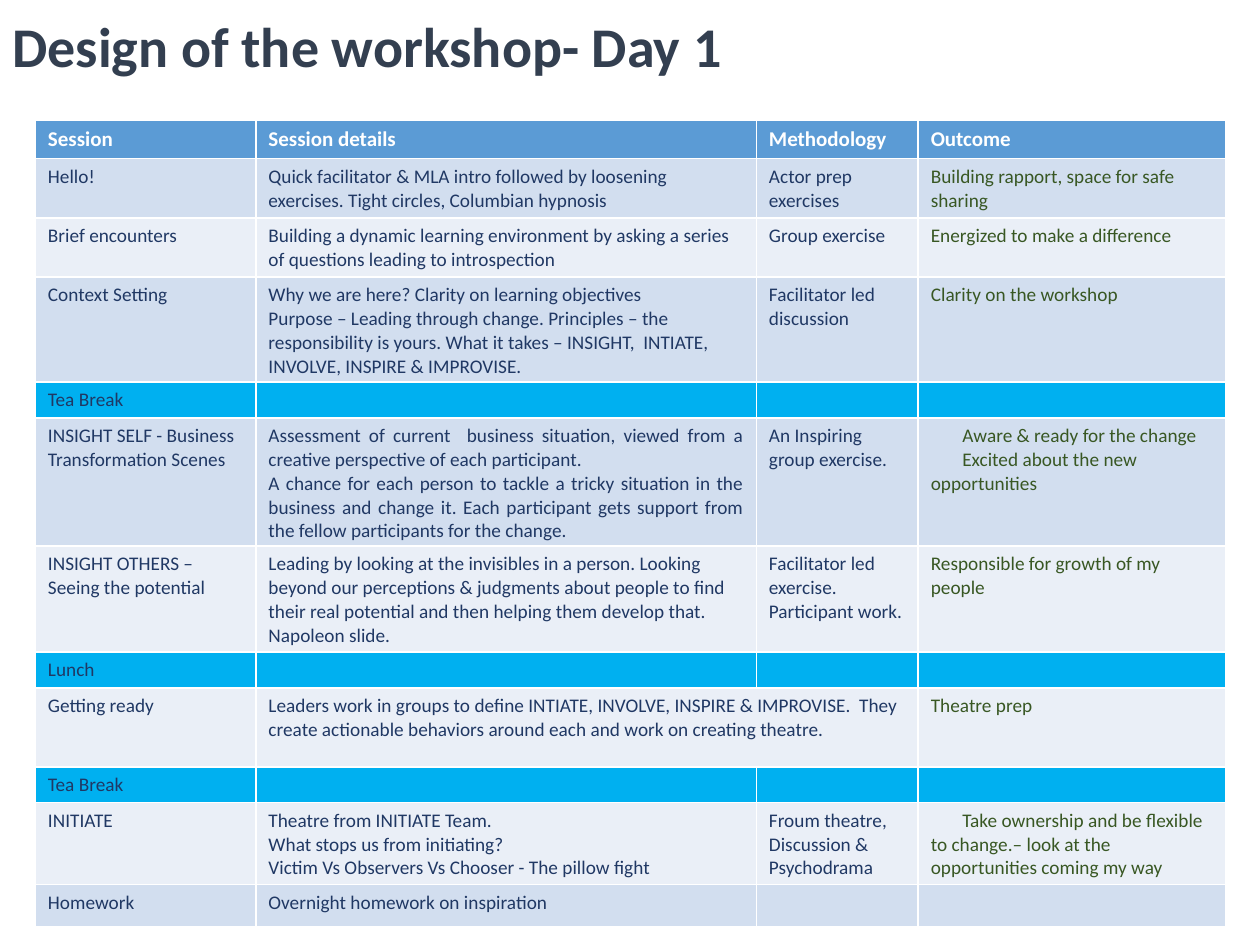
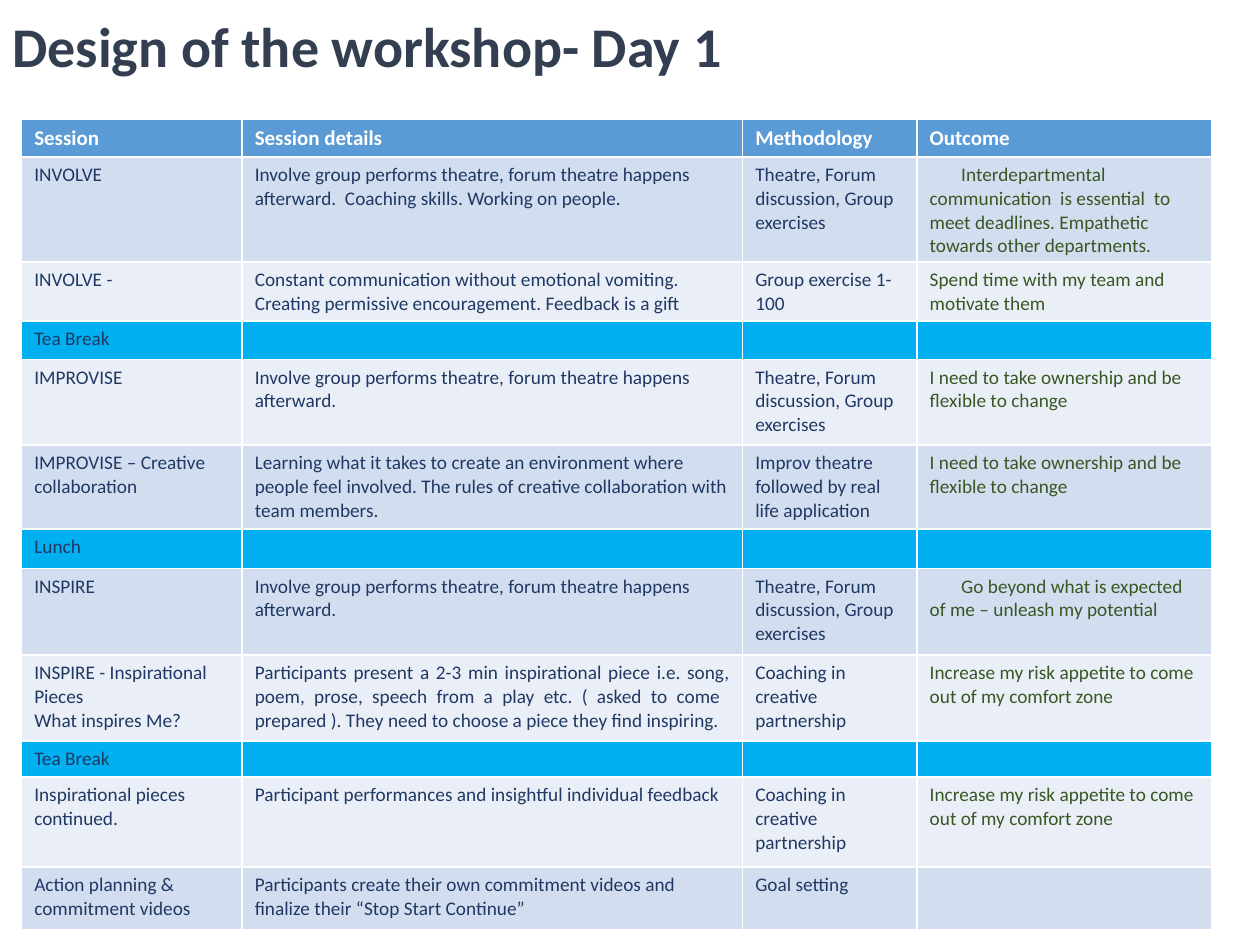
from dataclasses import dataclass

from lxml.etree import SubElement
from pptx import Presentation
from pptx.dml.color import RGBColor
from pptx.enum.text import MSO_ANCHOR, PP_ALIGN
from pptx.oxml.ns import qn
from pptx.util import Pt

FONT = "Calibri"
TITLE_COLOR = "333F50"
HEADER_FILL = "5B9BD5"
HEADER_TEXT = "FFFFFF"
BREAK_FILL = "00B0F0"
BAND_FILLS = ("EAEFF7", "D2DEEF")
BODY_TEXT = "203864"
OUTCOME_TEXT = "385723"
HEADINGS = ("Session", "Session details", "Methodology", "Outcome")
HEADER_HEIGHT = 20.9
OUTCOME_COLUMN = 3


@dataclass
class Session:
    """One row of the agenda; a row without details is a break."""
    height: float
    name: str
    details: str = ""
    methodology: str = ""
    outcome: str = ""
    justified: bool = False
    indented: bool = False
    wide_details: bool = False


GROUP_THEATRE = "Theatre, Forum discussion, Group exercises"
PERFORMANCE = "Involve group performs theatre, forum theatre happens afterward."
OWNERSHIP = "I need to take ownership and be flexible to change"
COACHING = "Coaching in creative partnership"
RISK_APPETITE = "Increase my risk appetite to come out of my comfort zone"

FIRST_AGENDA = [
    Session(34, "Hello!",
            "Quick facilitator & MLA intro followed by loosening exercises. "
            "Tight circles, Columbian hypnosis",
            "Actor prep exercises",
            "Building rapport, space for safe sharing"),
    Session(33.4, "Brief encounters",
            "Building a dynamic learning environment by asking a series of "
            "questions leading to introspection",
            "Group exercise", "Energized to make a difference"),
    Session(60, "Context Setting",
            "Why we are here? Clarity on learning objectives\n"
            "Purpose – Leading through change. Principles – the responsibility "
            "is yours. What it takes – INSIGHT,  INTIATE, INVOLVE, INSPIRE & "
            "IMPROVISE.",
            "Facilitator led discussion", "Clarity on the workshop"),
    Session(20.5, "Tea Break"),
    Session(73, "INSIGHT SELF - Business Transformation Scenes",
            "Assessment of current  business situation, viewed from a creative "
            "perspective of each participant.\n"
            "A chance for each person to tackle a tricky situation in the "
            "business and change it. Each participant gets support from the "
            "fellow participants for the change.",
            "An Inspiring group exercise.",
            "Aware & ready for the change\nExcited about the new opportunities",
            justified=True, indented=True),
    Session(60.5, "INSIGHT OTHERS – Seeing the potential",
            "Leading by looking at the invisibles in a person. Looking beyond "
            "our perceptions & judgments about people to find their real "
            "potential and then helping them develop that. Napoleon slide.",
            "Facilitator led exercise. Participant work.",
            "Responsible for growth of my people"),
    Session(20, "Lunch"),
    Session(45.2, "Getting ready",
            "Leaders work in groups to define INTIATE, INVOLVE, INSPIRE & "
            "IMPROVISE.  They create actionable behaviors around each and work "
            "on creating theatre.",
            outcome="Theatre prep", wide_details=True),
    Session(20, "Tea Break"),
    Session(46.6, "INITIATE",
            "Theatre from INITIATE Team.\nWhat stops us from initiating?\n"
            "Victim Vs Observers Vs Chooser - The pillow fight",
            "Froum theatre, Discussion & Psychodrama",
            "Take ownership and be flexible to change.– look at the "
            "opportunities coming my way",
            indented=True),
    Session(24, "Homework", "Overnight homework on inspiration"),
]

SECOND_AGENDA = [
    Session(60, "INVOLVE",
            PERFORMANCE + "  Coaching skills. Working on people.",
            GROUP_THEATRE,
            "Interdepartmental communication  is essential  to meet deadlines. "
            "Empathetic towards other departments.",
            indented=True),
    Session(33.4, "INVOLVE -",
            "Constant communication without emotional vomiting. Creating "
            "permissive encouragement. Feedback is a gift",
            "Group exercise 1-100", "Spend time with my team and motivate them"),
    Session(22, "Tea Break"),
    Session(49, "IMPROVISE", PERFORMANCE, GROUP_THEATRE, OWNERSHIP),
    Session(48, "IMPROVISE – Creative collaboration",
            "Learning what it takes to create an environment where people feel "
            "involved. The rules of creative collaboration with team members.",
            "Improv theatre followed by real life application", OWNERSHIP),
    Session(22.5, "Lunch"),
    Session(49.5, "INSPIRE", PERFORMANCE, GROUP_THEATRE,
            "Go beyond what is expected of me – unleash my potential",
            indented=True),
    Session(49.2, "INSPIRE - Inspirational Pieces\nWhat inspires Me?",
            "Participants present a 2-3 min inspirational piece i.e. song, poem, "
            "prose, speech from a play etc. ( asked to come  prepared ). They "
            "need to choose a piece they find inspiring.",
            COACHING, RISK_APPETITE, justified=True),
    Session(20.5, "Tea Break"),
    Session(51.5, "Inspirational pieces continued.",
            "Participant performances and insightful individual feedback",
            COACHING, RISK_APPETITE),
    Session(36, "Action planning & commitment videos",
            "Participants create their own commitment videos and finalize their "
            "“Stop Start Continue”",
            "Goal setting"),
]


def rgb(value):
    """Turn a hex string into a colour."""
    return RGBColor.from_string(value)


def style_paragraph(paragraph, size, color, bold=False):
    """Set the font of a whole paragraph."""
    font = paragraph.font
    font.name, font.size, font.bold = FONT, Pt(size), bold
    font.color.rgb = rgb(color)


def fill_cell(cell, text, fill, color, size=11, bold=False, justified=False, indented=False):
    """Write one table cell, a paragraph for each line of text."""
    cell.fill.solid()
    cell.fill.fore_color.rgb = rgb(fill)
    cell.text = text
    for paragraph in cell.text_frame.paragraphs:
        if justified:
            paragraph.alignment = PP_ALIGN.JUSTIFY
        if indented:
            paragraph._p.get_or_add_pPr().set("indent", str(Pt(18)))
        style_paragraph(paragraph, size, color, bold)
        if not text:
            SubElement(paragraph._p, qn("a:endParaRPr"), sz=str(size * 100))


def add_title(page, text, left, top, width, height):
    """Place the slide title in the given box."""
    box = page.shapes.add_textbox(Pt(left), Pt(top), Pt(width), Pt(height))
    frame = box.text_frame
    frame.word_wrap = True
    frame.vertical_anchor = MSO_ANCHOR.MIDDLE
    paragraph = frame.paragraphs[0]
    paragraph.text = text
    paragraph.line_spacing = 0.9
    style_paragraph(paragraph, 32, TITLE_COLOR, bold=True)


def fill_session(table, row, session):
    """Fill one agenda row, either a session or a break."""
    fill = BAND_FILLS[row % 2] if session.details else BREAK_FILL
    if session.wide_details:
        table.cell(row, 1).merge(table.cell(row, 2))
    texts = (session.name, session.details, session.methodology, session.outcome)
    for column, text in enumerate(texts):
        is_outcome = column == OUTCOME_COLUMN
        fill_cell(table.cell(row, column), text, fill,
                  OUTCOME_TEXT if is_outcome else BODY_TEXT,
                  justified=session.justified and column == 1,
                  indented=session.indented and is_outcome)


def add_agenda(page, sessions, left, top, widths):
    """Place the agenda table with its top left corner at the given point."""
    heights = [HEADER_HEIGHT] + [session.height for session in sessions]
    frame = page.shapes.add_table(len(heights), len(widths), Pt(left), Pt(top),
                                  Pt(sum(widths)), Pt(sum(heights)))
    table = frame.table
    for column, width in zip(table.columns, widths):
        column.width = Pt(width)
    for row, height in zip(table.rows, heights):
        row.height = Pt(height)
    for column, heading in enumerate(HEADINGS):
        fill_cell(table.cell(0, column), heading, HEADER_FILL, HEADER_TEXT, size=12, bold=True)
    for row, session in enumerate(sessions, start=1):
        fill_session(table, row, session)


def add_agenda_page(deck, sessions, left, top, widths):
    """Add one slide with the title and an agenda table."""
    page = deck.slides.add_slide(deck.slide_layouts[6])
    add_title(page, "Design of the workshop- Day 1", 0, 0, 720, 56.2)
    add_agenda(page, sessions, left, top, widths)


def main():
    """Build and save the deck."""
    deck = Presentation()
    deck.slide_width, deck.slide_height = Pt(720), Pt(540)
    add_agenda_page(deck, FIRST_AGENDA, 20.2, 69, (126, 286, 92.5, 175.5))
    add_agenda_page(deck, SECOND_AGENDA, 12.4, 68, (126, 286, 99.7, 168.3))
    deck.save("out.pptx")


if __name__ == "__main__":
    main()
